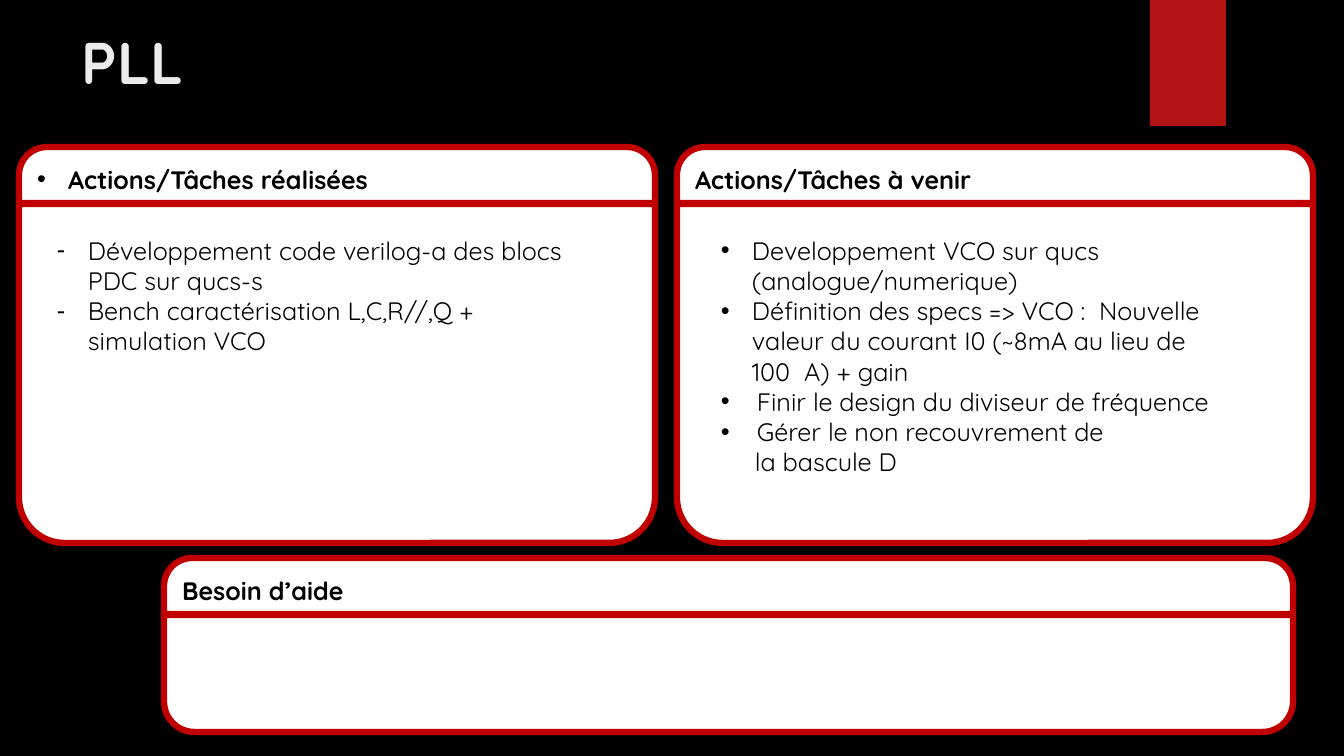
"""Build the PLL progress slide: three cards under a title."""
from lxml.etree import SubElement
from pptx import Presentation
from pptx.dml.color import RGBColor
from pptx.enum.shapes import MSO_SHAPE
from pptx.enum.text import MSO_ANCHOR, PP_ALIGN
from pptx.oxml.ns import qn
from pptx.util import Emu, Pt


def px(length):
    return Emu(round(length * 914400 / 100.8))


def write(paragraph, text, color="000000", bullet="", indent=0, **font):
    paragraph.alignment = PP_ALIGN.LEFT
    properties = paragraph._p.get_or_add_pPr()
    properties.set("marL", str(px(indent)))
    if bullet:
        properties.set("indent", str(-px(indent)))
        SubElement(properties, qn("a:buFont"), typeface="Arial")
        SubElement(properties, qn("a:buChar"), char=bullet)
    run = paragraph.add_run()
    run.text = text
    for name, value in {"name": "Quicksand", "size": Pt(18), **font}.items():
        setattr(run.font, name, value)
    run.font.color.rgb = RGBColor.from_string(color)


deck = Presentation()
deck.slide_width, deck.slide_height = px(1344), px(756)
slide = deck.slides.add_slide(deck.slide_layouts[6])
slide.background.fill.solid()
slide.background.fill.fore_color.rgb = RGBColor.from_string("000000")

ribbon = slide.shapes.add_shape(MSO_SHAPE.RECTANGLE, px(1150), 0, px(76), px(126))
ribbon.shadow.inherit = False
ribbon.fill.solid()
ribbon.fill.fore_color.rgb = RGBColor.from_string("B01513")
ribbon.line.fill.background()

title = slide.shapes.add_textbox(px(72), px(21), px(1037), px(154)).text_frame
title.word_wrap = True
write(title.paragraphs[0], "PLL", "EBEBEB", size=Pt(42), bold=True)

cards = [
    ("Besoin d’aide", "", 0, 164, 558, 1129, 117, 0.26),
    ("Actions/Tâches réalisées", "•", 31, 19, 147, 636, 339, 0.135),
    ("Actions/Tâches à venir", "", 0, 677, 147, 636, 339, 0.135),
]
HEADER_HEIGHT = 56
for heading, bullet, indent, left, top, width, body_height, rounding in cards:
    parts = [(top, HEADER_HEIGHT, (0.5, 0), heading),
             (top + HEADER_HEIGHT + 1, body_height, (0, rounding), "")]
    for part_top, height, corners, text in parts:
        panel = slide.shapes.add_shape(
            MSO_SHAPE.ROUND_2_SAME_RECTANGLE, px(left), px(part_top), px(width), px(height))
        panel.shadow.inherit = False
        panel.adjustments[0], panel.adjustments[1] = corners
        panel.fill.solid()
        panel.fill.fore_color.rgb = RGBColor.from_string("FFFFFF")
        panel.line.color.rgb = RGBColor.from_string("C00000")
        panel.line.width = Pt(4.5)
        if text:
            panel.text_frame.vertical_anchor = MSO_ANCHOR.MIDDLE
            write(panel.text_frame.paragraphs[0], text, bullet=bullet, indent=indent, bold=True)

task_lists = [
    (47, 194, [
        ("Développement code verilog-a des blocs PDC sur qucs-s", "-", 31),
        ("Bench caractérisation L,C,R//,Q + simulation VCO", "-", 31),
    ]),
    (711, 285, [
        ("Developpement VCO sur qucs (analogue/numerique)", "•", 31),
        ("Définition des specs => VCO :  Nouvelle valeur du courant I0 "
         "(~8mA au lieu de 100µA) + gain", "•", 31),
        ("Finir le design du diviseur de fréquence", "•", 36),
        ("Gérer le non recouvrement de", "•", 36),
        ("la bascule D", "", 34),
    ]),
]
for left, height, tasks in task_lists:
    frame = slide.shapes.add_textbox(px(left), px(230), px(542), px(height)).text_frame
    frame.word_wrap = True
    for index, (task, bullet, indent) in enumerate(tasks):
        paragraph = frame.add_paragraph() if index else frame.paragraphs[0]
        write(paragraph, task, bullet=bullet, indent=indent)

deck.save("out.pptx")
